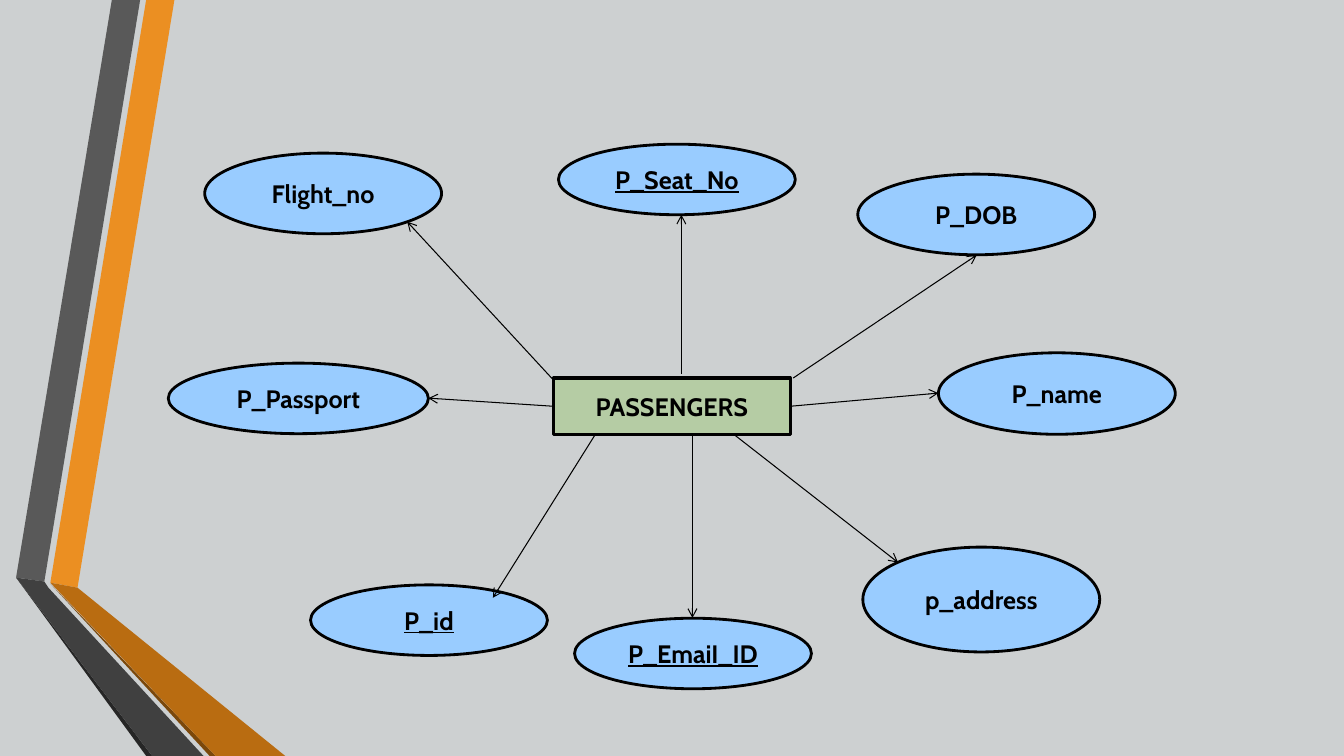
"""Draw the attribute diagram of the PASSENGERS entity."""
from dataclasses import dataclass

from lxml import etree
from pptx import Presentation
from pptx.dml.color import RGBColor
from pptx.enum.shapes import MSO_CONNECTOR, MSO_SHAPE
from pptx.enum.text import MSO_ANCHOR, PP_ALIGN
from pptx.oxml.ns import qn
from pptx.shapes.autoshape import Shape
from pptx.slide import Slide
from pptx.util import Pt

STRAIGHT = MSO_CONNECTOR.STRAIGHT
OVAL, RECTANGLE = MSO_SHAPE.OVAL, MSO_SHAPE.RECTANGLE
MIDDLE, CENTER = MSO_ANCHOR.MIDDLE, PP_ALIGN.CENTER
FONT = "Cabin"
COLORS = {
    "background": "CDD0D1", "ink": "000000", "entity": "B5CCA4", "attribute": "99CCFF",
    "orange": "EB8F22", "orange_shade": "B96C11", "orange_edge": "7B480B",
    "gray": "595959", "gray_shade": "404040", "gray_edge": "262626",
}
Point = tuple[float, float]


@dataclass(frozen=True)
class Ribbon:
    color: str
    corners: list[Point]


@dataclass(frozen=True)
class Attribute:
    label: str
    left: float
    top: float
    height: float
    start: Point
    tip: Point
    width: float = 169.2
    key: bool = False


RIBBONS = [
    Ribbon("orange", [(36, 416.2), (55.4, 419.8), (124.6, 0), (104.4, 0)]),
    Ribbon("gray", [(100.1, 0), (79.9, 0), (11.5, 412.6), (31.7, 415.4)]),
    Ribbon("gray_edge", [(11.5, 412.6), (104.4, 540), (108.7, 540)]),
    Ribbon("orange_edge", [(36, 416.9), (149.8, 540), (154.1, 540)]),
    Ribbon("orange_shade", [(36, 416.2), (154.1, 540), (203.8, 540), (55.4, 419.8)]),
    Ribbon("gray_shade", [(145.4, 540), (34.6, 419.8), (31.7, 415.4), (11.5, 412.6), (108.7, 540)]),
]
ATTRIBUTES = [
    Attribute("P_Passport", 120.2, 259.4, 50.4, (395.3, 290.2), (306, 284.4), width=185.8),
    Attribute("P_DOB", 612.7, 124.4, 57.6, (566.6, 270), (697.7, 182.2)),
    Attribute("p_address", 616.3, 390.8, 74.9, (524.2, 310.3), (641.5, 401.8)),
    Attribute("P_name", 670.3, 252, 58.2, (564.5, 290.2), (670.3, 280.8)),
    Attribute("P_id", 221.8, 417.8, 50.4, (424.8, 311), (352.1, 427), key=True),
    Attribute("Flight_no", 146.2, 109.4, 57.6, (396, 272.2), (290.9, 158.4)),
    Attribute("P_EmaiI_ID", 410.4, 441.6, 50.4, (494.6, 311), (494.6, 441.4), key=True),
    Attribute("P_Seat_No", 398.9, 103, 50.4, (486.7, 267.1), (486.7, 153.4), key=True),
]


def rgb(name: str) -> RGBColor:
    return RGBColor.from_string(COLORS[name])


def paint(shape: Shape, color: str) -> None:
    shape.shadow.inherit = False
    shape.fill.solid()
    shape.fill.fore_color.rgb = rgb(color)


def write(shape: Shape, text: str, *, size: float = 18, bold: bool = True,
          underline: bool = False, color: str = "ink") -> None:
    frame = shape.text_frame
    frame.word_wrap = True
    frame.vertical_anchor = MIDDLE
    paragraph = frame.paragraphs[0]
    paragraph.alignment = CENTER
    run = paragraph.add_run()
    run.text = text
    run.font.name, run.font.size = FONT, Pt(size)
    run.font.bold, run.font.underline = bold, underline
    run.font.color.rgb = rgb(color)


def draw_ribbon(slide: Slide, ribbon: Ribbon) -> None:
    first, *rest = [(Pt(x), Pt(y)) for x, y in ribbon.corners]
    builder = slide.shapes.build_freeform(*first)
    builder.add_line_segments(rest, close=True)
    outline = builder.convert_to_shape()
    paint(outline, ribbon.color)
    outline.line.fill.background()


def draw_node(slide: Slide, kind: MSO_SHAPE, box: tuple[float, float, float, float],
              label: str, color: str, border: float, underline: bool = False) -> None:
    node = slide.shapes.add_shape(kind, *map(Pt, box))
    paint(node, color)
    node.line.color.rgb = rgb("ink")
    node.line.width = Pt(border)
    write(node, label, underline=underline)


def draw_arrow(slide: Slide, start: Point, tip: Point) -> None:
    arrow = slide.shapes.add_connector(STRAIGHT, *map(Pt, start + tip))
    arrow.line.color.rgb = rgb("ink")
    arrow.line.width = Pt(0.75)
    etree.SubElement(arrow.line._get_or_add_ln(), qn("a:tailEnd"), type="arrow")
    etree.SubElement(arrow._element.spPr, qn("a:effectLst"))


def main() -> None:
    deck = Presentation()
    deck.slide_width, deck.slide_height = Pt(960), Pt(540)
    slide = deck.slides.add_slide(deck.slide_layouts[6])
    slide.background.fill.solid()
    slide.background.fill.fore_color.rgb = rgb("background")
    for ribbon in RIBBONS:
        draw_ribbon(slide, ribbon)
    draw_node(slide, RECTANGLE, (395.3, 270, 169.2, 40.3), "PASSENGERS", "entity", 2.25)
    for item in ATTRIBUTES:
        box = (item.left, item.top, item.width, item.height)
        draw_node(slide, OVAL, box, item.label, "attribute", 2, underline=item.key)
        draw_arrow(slide, item.start, item.tip)
    deck.save("out.pptx")


main()
